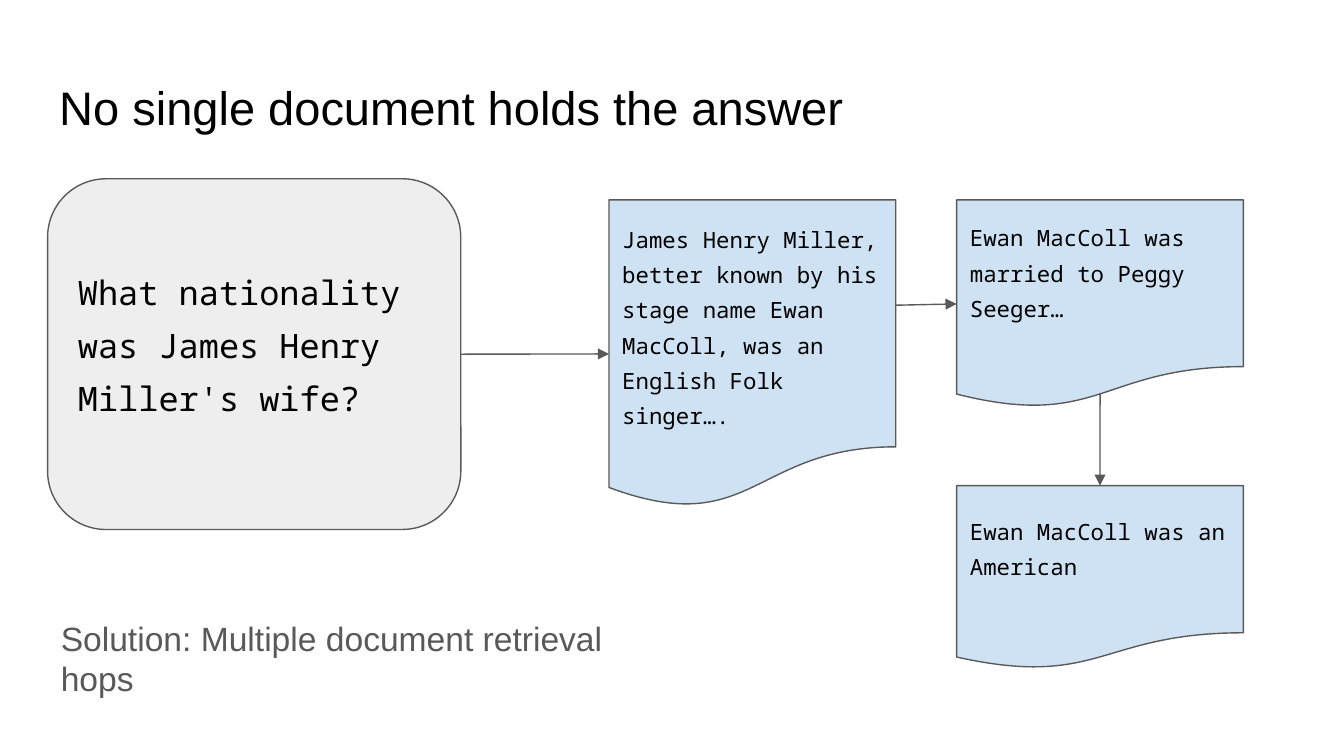
from dataclasses import dataclass

from lxml.etree import SubElement
from pptx import Presentation
from pptx.dml.color import RGBColor
from pptx.enum.shapes import MSO_CONNECTOR, MSO_SHAPE as Shape
from pptx.enum.text import MSO_ANCHOR, PP_ALIGN
from pptx.oxml.ns import qn
from pptx.shapes.autoshape import Shape as AutoShape
from pptx.slide import Slide
from pptx.util import Cm, Pt


@dataclass(frozen=True)
class Theme:
    ink: RGBColor = RGBColor(0x00, 0x00, 0x00)
    grey: RGBColor = RGBColor(0x59, 0x59, 0x59)
    question_fill: RGBColor = RGBColor(0xEE, 0xEE, 0xEE)
    document_fill: RGBColor = RGBColor(0xCF, 0xE2, 0xF3)
    sans: str = "Arial"
    mono: str = "Noto Sans Mono"
    title_size: float = 25.2
    large_size: float = 18
    document_size: float = 12
    line_width: float = 0.75
    mono_spacing: float = 1.31
    inset: float = 0.25


@dataclass(frozen=True)
class Box:
    """A place on the slide, in centimetres."""
    left: float
    top: float
    width: float
    height: float

    def lengths(self) -> tuple[Cm, Cm, Cm, Cm]:
        return Cm(self.left), Cm(self.top), Cm(self.width), Cm(self.height)


@dataclass(frozen=True)
class Node:
    text: str
    box: Box
    kind: Shape
    fill: RGBColor
    size: float
    space_below: float = 0


THEME = Theme()
TOP, LEFT = 0, 1
DOC_WIDTH, DOC_TOP, HOP_LEFT = 5.42, 3.78, 18.08
WAVE_MIDDLE = 20172 / 21600  # height of the document's wavy edge at mid-width


def document(text: str, box: Box, space_below: float = 0) -> Node:
    return Node(text, box, Shape.FLOWCHART_DOCUMENT, THEME.document_fill,
                THEME.document_size, space_below)


QUESTION = Node("What nationality was James Henry Miller's wife?",
                Box(0.9, 3.38, 7.81, 6.63), Shape.ROUNDED_RECTANGLE,
                THEME.question_fill, THEME.large_size, 0.57)
STAGE_NAME = document("James Henry Miller, better known by his stage name Ewan "
                      "MacColl, was an English Folk singer….",
                      Box(11.51, DOC_TOP, DOC_WIDTH, 5.82))
MARRIAGE = document("Ewan MacColl was married to Peggy Seeger…",
                    Box(HOP_LEFT, DOC_TOP, DOC_WIDTH, 3.93), 0.54)
NATIONALITY = document("Ewan MacColl was an American",
                       Box(HOP_LEFT, 9.18, DOC_WIDTH, 3.47), 0.54)


def write(s: AutoShape, text: str, font: str, size: float, color: RGBColor,
          spacing: float = 1, space_below: float = 0) -> None:
    tf = s.text_frame
    tf.word_wrap = True
    tf.margin_left = tf.margin_right = tf.margin_top = Cm(THEME.inset)
    tf.margin_bottom = Cm(THEME.inset + space_below)
    p = tf.paragraphs[0]
    p.alignment = PP_ALIGN.LEFT
    p.line_spacing = spacing
    r = p.add_run()
    r.text = text
    r.font.name, r.font.size = font, Pt(size)
    r.font.color.rgb = color


def add_label(slide: Slide, text: str, box: Box, size: float, color: RGBColor) -> None:
    write(slide.shapes.add_textbox(*box.lengths()), text, THEME.sans, size, color)


def add_node(slide: Slide, node: Node) -> AutoShape:
    s = slide.shapes.add_shape(node.kind, *node.box.lengths())
    s.shadow.inherit = False
    s.fill.solid()
    s.fill.fore_color.rgb = node.fill
    s.line.color.rgb = THEME.grey
    s.line.width = Pt(THEME.line_width)
    s.text_frame.vertical_anchor = MSO_ANCHOR.MIDDLE
    write(s, node.text, THEME.mono, node.size, THEME.ink,
          THEME.mono_spacing, node.space_below)
    return s


def add_arrow(slide: Slide, x: float, y: float, target: AutoShape, site: int):
    """Draw an arrow from a point to a connection site of the target."""
    c = slide.shapes.add_connector(MSO_CONNECTOR.STRAIGHT, Cm(x), Cm(y), Cm(x), Cm(y))
    c.end_connect(target, site)
    c.line.color.rgb = THEME.grey
    c.line.width = Pt(THEME.line_width)
    SubElement(c.line._get_or_add_ln(), qn("a:tailEnd"), type="triangle")
    SubElement(c._element.spPr, qn("a:effectLst"))
    return c


def main() -> None:
    prs = Presentation()
    prs.slide_width, prs.slide_height = Cm(25.4), Cm(14.29)
    slide = prs.slides.add_slide(prs.slide_layouts[6])

    add_label(slide, "No single document holds the answer",
              Box(0.87, 1.24, 23.67, 1.6), THEME.title_size, THEME.ink)
    question, stage_name, marriage, nationality = (
        add_node(slide, node) for node in (QUESTION, STAGE_NAME, MARRIAGE, NATIONALITY))

    q, first, second = QUESTION.box, STAGE_NAME.box, MARRIAGE.box
    start = add_arrow(slide, q.left + q.width, q.top + q.height / 2, stage_name, LEFT)
    start.begin_connect(question, 3)
    add_arrow(slide, first.left + first.width, 5.77, marriage, LEFT)
    add_arrow(slide, second.left + second.width / 2,
              second.top + second.height * WAVE_MIDDLE, nationality, TOP)

    add_label(slide, "Solution: Multiple document retrieval hops",
              Box(0.9, 11.43, 11.61, 2.06), THEME.large_size, THEME.grey)
    prs.save("out.pptx")


if __name__ == "__main__":
    main()
